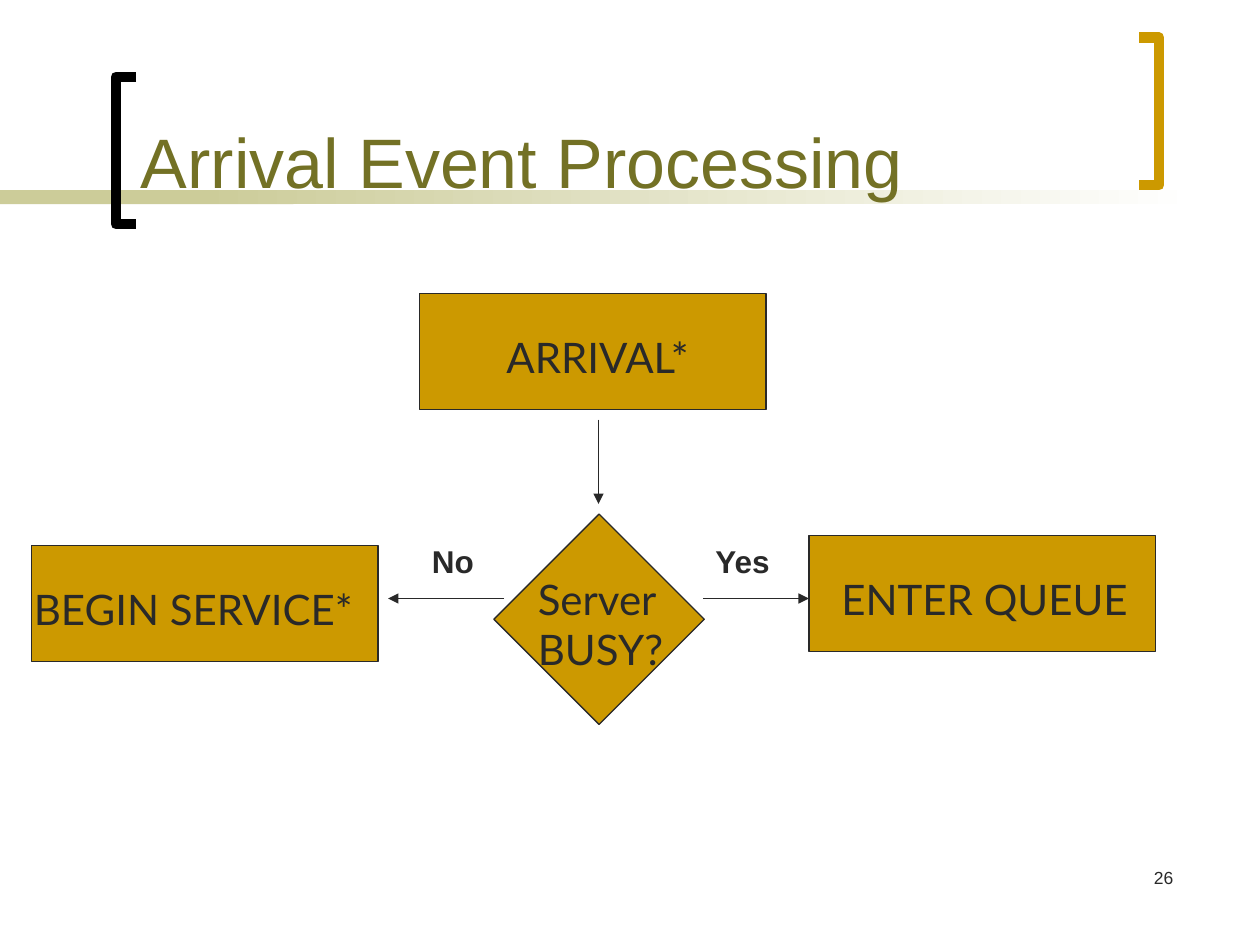
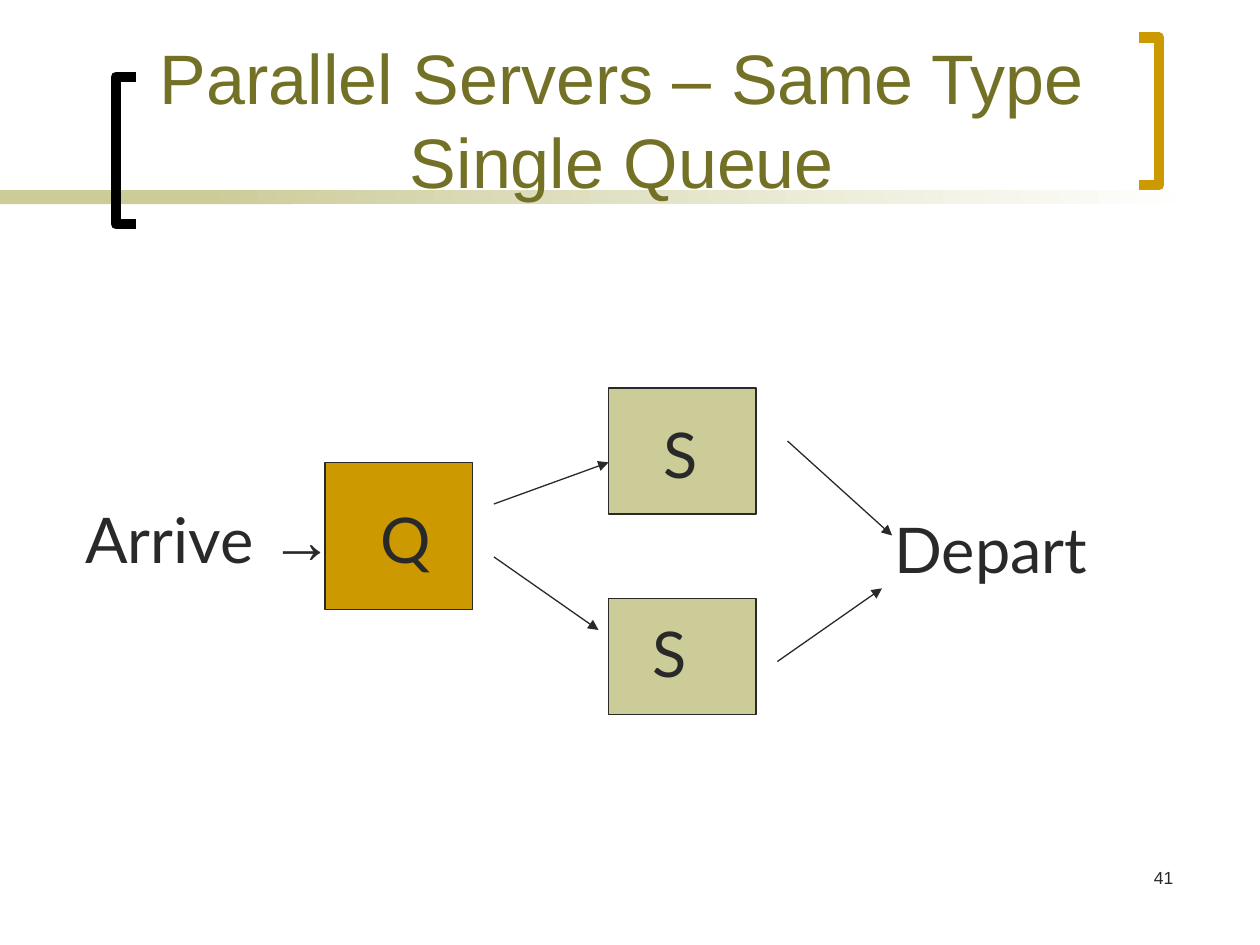
import pptx
import pptx.util
import pptx.dml.color
import pptx.enum.shapes
import pptx.enum.text
import pptx.oxml
import pptx.oxml.ns

Inches, Pt = pptx.util.Inches, pptx.util.Pt
KIND = pptx.enum.shapes.MSO_SHAPE
ALIGN = pptx.enum.text.PP_ALIGN
ANCHOR = pptx.enum.text.MSO_ANCHOR

# Shared colours and text styles
INK, GOLD, SAND, OLIVE = "292929", "CC9900", "CCCC99", "737125"
TITLE = {"name": "Arial", "size": Pt(40), "color": OLIVE}
FOOT = {"name": "Arial", "size": Pt(10), "color": INK}
STEP = {"name": "Lato", "size": Pt(24), "color": INK}
TAG = {"name": "Arial", "size": Pt(18), "bold": True, "color": INK}
NODE = {"name": "Lato", "size": Pt(36), "color": INK}
ARROW = {**NODE, "name": "Arial"}


def tint(code):
    return pptx.dml.color.RGBColor.from_string(code)


def write(slide, place, runs, align=ALIGN.LEFT, anchor=ANCHOR.TOP):
    """Add a text box holding one paragraph of (text, style) runs."""
    frame = slide.shapes.add_textbox(*map(Inches, place)).text_frame
    frame.word_wrap = True
    frame.vertical_anchor = anchor
    para = frame.paragraphs[0]
    para.alignment = align
    for line, style in runs:
        # A line feed in the wording becomes a line break
        for i, part in enumerate(line.split("\n")):
            if i:
                para.add_line_break()
            run = para.add_run()
            run.text = part
            for key, value in style.items():
                if key == "color":
                    run.font.color.rgb = tint(value)
                else:
                    setattr(run.font, key, value)


# Contents: boxes (kind, place, fill), arrows (from, to), notes (place, runs)
pages = [
    {
        "title": "Arrival Event Processing", "align": ALIGN.LEFT, "num": "26",
        "boxes": [
            (KIND.RECTANGLE, (0.25, 4.33, 2.75, 0.92), GOLD),
            (KIND.DIAMOND, (3.92, 4.08, 1.67, 1.67), GOLD),
            (KIND.RECTANGLE, (3.33, 2.33, 2.75, 0.92), GOLD),
            (KIND.RECTANGLE, (6.42, 4.25, 2.75, 0.92), GOLD),
        ],
        "arrows": [
            (4, 4.75, 3.08, 4.75),
            (5.58, 4.75, 6.42, 4.75),
            (4.75, 3.33, 4.75, 4),
        ],
        "notes": [
            ((3.92, 2.58, 1.75, 0.5), [("ARRIVAL*", STEP)]),
            ((0.17, 4.58, 2.92, 0.5), [("BEGIN SERVICE*", STEP)]),
            ((6.58, 4.5, 2.5, 0.5), [("ENTER QUEUE", STEP)]),
            ((4.17, 4.5, 1.25, 0.9), [("Server\nBUSY?", STEP)]),
            ((3.33, 4.25, 0.75, 0.4), [("No", TAG)]),
            ((5.58, 4.25, 0.67, 0.4), [("Yes", TAG)]),
        ],
    },
    {
        "title": "Parallel Servers – Same Type Single Queue",
        "align": ALIGN.CENTER, "num": "41",
        "boxes": [
            (KIND.RECTANGLE, (4.83, 3.08, 1.17, 1), SAND),
            (KIND.RECTANGLE, (4.83, 4.75, 1.17, 0.92), SAND),
            (KIND.RECTANGLE, (2.58, 3.67, 1.17, 1.17), GOLD),
        ],
        "arrows": [
            (3.92, 4, 4.83, 3.67),
            (3.92, 4.42, 4.75, 5),
            (6.25, 3.5, 7.08, 4.25),
            (6.17, 5.25, 7, 4.67),
        ],
        "notes": [
            ((0.58, 3.92, 2.25, 0.7), [("Arrive ", NODE), ("→", ARROW)]),
            ((7, 4, 2.08, 0.7), [("Depart", NODE)]),
            ((2.92, 3.92, 0.5, 0.7), [("Q", NODE)]),
            ((5.17, 3.25, 0.67, 0.7), [("S", NODE)]),
            ((5.08, 4.83, 0.5, 0.7), [("S", NODE)]),
        ],
    },
]

deck = pptx.Presentation()
deck.slide_width, deck.slide_height = Inches(10), Inches(7.5)

for page in pages:
    slide = deck.slides.add_slide(deck.slide_layouts[6])
    shapes = slide.shapes

    # Band under the title: a plain start, then a fade to white
    for left, width, fade in [(0, 2.33, False), (1.58, 7.92, True)]:
        band = shapes.add_shape(KIND.RECTANGLE, Inches(left), Inches(1.51),
                                Inches(width), Inches(0.11))
        band.shadow.inherit = False
        band.line.fill.background()
        if fade:
            band.fill.gradient()
            band.fill.gradient_angle = 0
            for stop, code in zip(band.fill.gradient_stops, (SAND, "FFFFFF")):
                stop.color.rgb = tint(code)
        else:
            band.fill.solid()
            band.fill.fore_color.rgb = tint(SAND)

    # Brackets around the title: tips at one side, spine at the other
    for tip, spine, top, code in [(1.08, 0.92, 0.61, "000000"),
                                  (9.04, 9.2, 0.3, GOLD)]:
        low = top + 1.17
        pen = shapes.build_freeform(Inches(tip), Inches(top))
        pen.add_line_segments(
            [(Inches(x), Inches(y))
             for x, y in [(spine, top), (spine, low), (tip, low)]],
            close=False)
        mark = pen.convert_to_shape()
        mark.shadow.inherit = False
        mark.fill.background()
        mark.line.color.rgb = tint(code)
        mark.line.width = Pt(6)

    # Page number and title
    write(slide, (7.33, 6.83, 2.08, 0.5), [(page["num"], FOOT)], ALIGN.RIGHT)
    write(slide, (1.02, 0.11, 7.83, 1.55), [(page["title"], TITLE)],
          page["align"], ANCHOR.BOTTOM)

    # Boxes of the flow
    for kind, place, code in page["boxes"]:
        box = shapes.add_shape(kind, *map(Inches, place))
        box.shadow.inherit = False
        box.fill.solid()
        box.fill.fore_color.rgb = tint(code)
        box.line.color.rgb = tint(INK)
        box.line.width = Pt(0.75)

    # Arrows
    for ends in page["arrows"]:
        link = shapes.add_connector(
            pptx.enum.shapes.MSO_CONNECTOR.STRAIGHT, *map(Inches, ends))
        link.line.color.rgb = tint(INK)
        link.line.width = Pt(0.75)
        head = pptx.oxml.ns.qn("a:tailEnd")
        line = link.line._get_or_add_ln()
        line.append(line.makeelement(head, {"type": "triangle"}))
        props = link._element.spPr
        props.append(props.makeelement(pptx.oxml.ns.qn("a:effectLst"), {}))

    # Labels
    for place, runs in page["notes"]:
        write(slide, place, runs)

deck.save("out.pptx")
